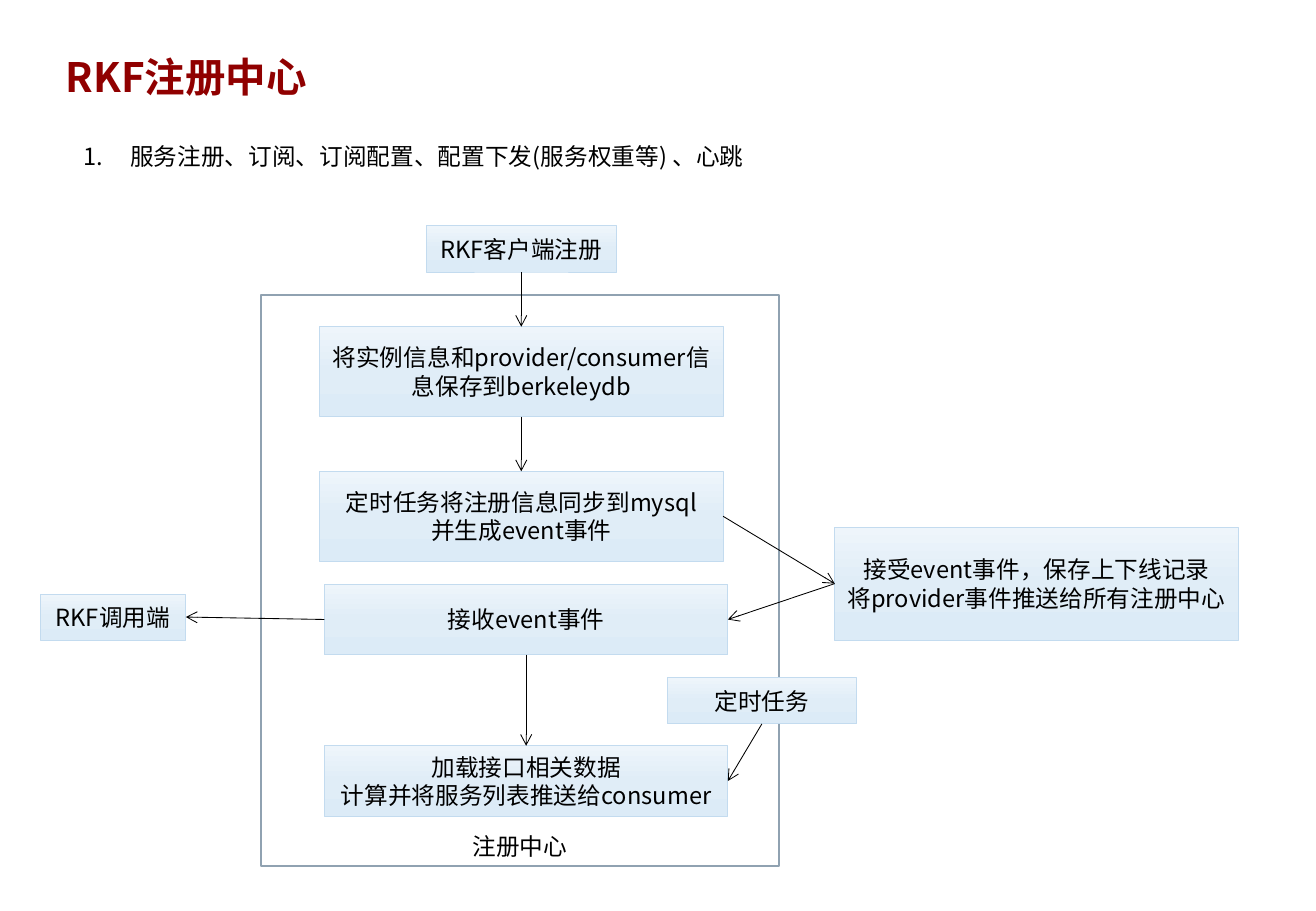
from copy import deepcopy
from dataclasses import dataclass

from pptx import Presentation
from pptx import util as u
from pptx.dml.color import RGBColor
from pptx.enum import shapes, text
from pptx.oxml.ns import qn
from lxml import etree

PX = 9144
TOP, LEFT, BOTTOM, RIGHT = range(4)


@dataclass(frozen=True)
class Theme:
    font: str = "Noto Sans CJK SC"
    title_size: int = 24
    text_size: int = 14
    title: str = "900000"
    ink: str = "000000"
    frame: str = "90A2B1"
    border: str = "C3DBEF"
    gradient: tuple = ((0, "EEF5FB"), (0.5, "E0EDF7"), (1, "DCEBF7"))


THEME = Theme()


def px(*lengths):
    return [u.Emu(length * PX) for length in lengths]


def place(shape, box):
    shape.left, shape.top, shape.width, shape.height = px(*box)


def add_run(paragraph, words, size=THEME.text_size, color=THEME.ink, bold=False):
    run = paragraph.add_run()
    run.text = words
    run.font.size = u.Pt(size)
    run.font.bold = bold
    run.font.name = THEME.font
    run.font.color.rgb = RGBColor.from_string(color)
    east_asian = etree.Element(qn("a:ea"), typeface=THEME.font)
    run.font._element.find(qn("a:latin")).addnext(east_asian)


def set_frame(shape, anchor):
    frame = shape.text_frame
    frame.word_wrap = True
    frame.auto_size = text.MSO_AUTO_SIZE.NONE
    frame.vertical_anchor = anchor
    return frame


def add_heading(slide, box):
    shape = slide.shapes.title
    place(shape, box)
    paragraph = set_frame(shape, text.MSO_ANCHOR.MIDDLE).paragraphs[0]
    paragraph.alignment = text.PP_ALIGN.LEFT
    add_run(paragraph, "RKF注册中心", THEME.title_size, THEME.title, True)


def add_list(slide, box):
    shape = slide.placeholders[1]
    place(shape, box)
    paragraph = set_frame(shape, text.MSO_ANCHOR.TOP).paragraphs[0]
    paragraph.line_spacing = 1.5
    paragraph.space_before = u.Pt(0)
    properties = paragraph._p.get_or_add_pPr()
    indent = 38 * PX
    properties.set("marL", str(indent))
    properties.set("indent", str(-indent))
    etree.SubElement(properties, qn("a:buFont"), typeface=THEME.font)
    etree.SubElement(properties, qn("a:buAutoNum"), type="arabicPeriod")
    add_run(paragraph, "服务注册、订阅、订阅配置、配置下发(服务权重等) 、心跳")


def add_box(slide, box, lines, line_color, line_width, anchor):
    shape = slide.shapes.add_shape(shapes.MSO_SHAPE.RECTANGLE, *px(*box))
    shape.shadow.inherit = False
    shape.fill.background()
    shape.line.color.rgb = RGBColor.from_string(line_color)
    shape.line.width = u.Pt(line_width)
    frame = set_frame(shape, anchor)
    for index, line in enumerate(lines):
        paragraph = frame.add_paragraph() if index else frame.paragraphs[0]
        paragraph.alignment = text.PP_ALIGN.CENTER
        add_run(paragraph, line)
    return shape


def add_step(slide, box, *lines):
    shape = add_box(slide, box, lines, THEME.border, 0.5, text.MSO_ANCHOR.MIDDLE)
    shape.fill.gradient()
    shape.fill.gradient_angle = 270
    stops = shape._element.spPr.find(qn("a:gradFill")).find(qn("a:gsLst"))
    stops.append(deepcopy(stops[0]))
    for stop, (position, color) in zip(shape.fill.gradient_stops, THEME.gradient):
        stop.position = position
        stop.color.rgb = RGBColor.from_string(color)
    return shape


def add_arrow(slide, start, start_side, end, end_side):
    arrow = slide.shapes.add_connector(shapes.MSO_CONNECTOR.STRAIGHT, 0, 0, 0, 0)
    arrow.begin_connect(start, start_side)
    arrow.end_connect(end, end_side)
    arrow.line.color.rgb = RGBColor.from_string(THEME.ink)
    arrow.line.width = u.Pt(0.5)
    etree.SubElement(arrow.line._get_or_add_ln(), qn("a:tailEnd"), type="arrow")
    etree.SubElement(arrow._element.spPr, qn("a:effectLst"))


def add_flow(slide, box):
    left, top, width, height = box

    def step(x, y, w, h, *lines):
        return add_step(slide, (left + x, top + y, w, h), *lines)

    add_box(slide, (left + 182, top + 57, 426, 470), ["注册中心"],
            THEME.frame, 1, text.MSO_ANCHOR.BOTTOM)
    client = step(318, 0, 156, 38, "RKF客户端注册")
    save = step(230, 83, 332, 74, "将实例信息和provider/consumer信息保存到berkeleydb")
    sync = step(230, 202, 332, 74, "定时任务将注册信息同步到mysql", "并生成event事件")
    push = step(654, 248, 332, 93, "接受event事件，保存上下线记录",
                "将provider事件推送给所有注册中心")
    receive = step(234, 295, 332, 58, "接收event事件")
    caller = step(0, 303, 120, 38, "RKF调用端")
    load = step(234, 428, 332, 58, "加载接口相关数据", "计算并将服务列表推送给consumer")
    timer = step(516, 372, 156, 38, "定时任务")

    for link in (
        (client, BOTTOM, save, TOP),
        (save, BOTTOM, sync, TOP),
        (sync, RIGHT, push, LEFT),
        (push, LEFT, receive, RIGHT),
        (receive, LEFT, caller, RIGHT),
        (receive, BOTTOM, load, TOP),
        (timer, BOTTOM, load, RIGHT),
    ):
        add_arrow(slide, *link)


def main():
    presentation = Presentation()
    presentation.slide_width, presentation.slide_height = px(1083, 750)
    slide = presentation.slides.add_slide(presentation.slide_layouts[1])
    add_heading(slide, (44, 38, 705, 50))
    add_list(slide, (59, 100, 882, 41))
    add_flow(slide, (33, 186, 986, 527))
    presentation.save("out.pptx")


if __name__ == "__main__":
    main()
